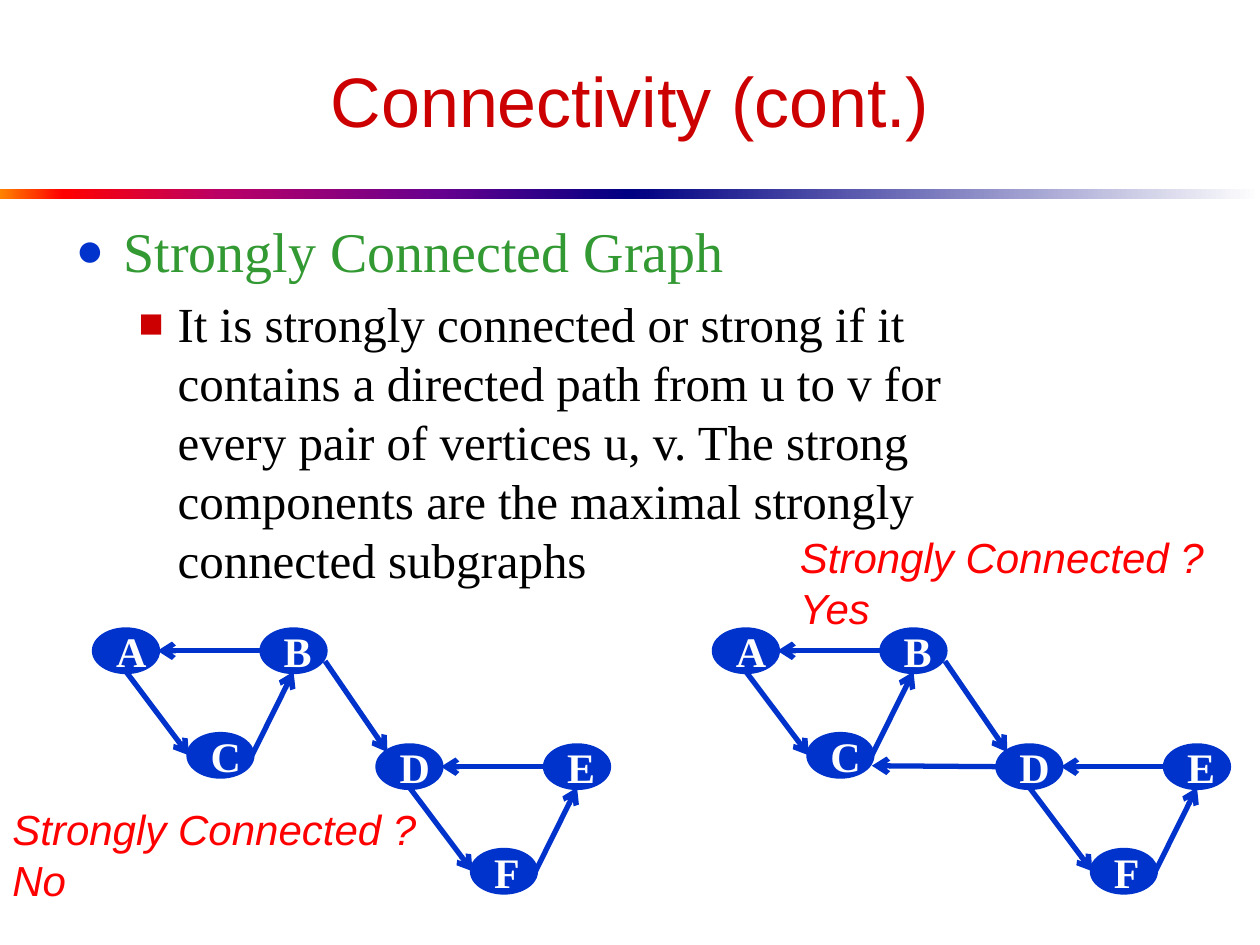
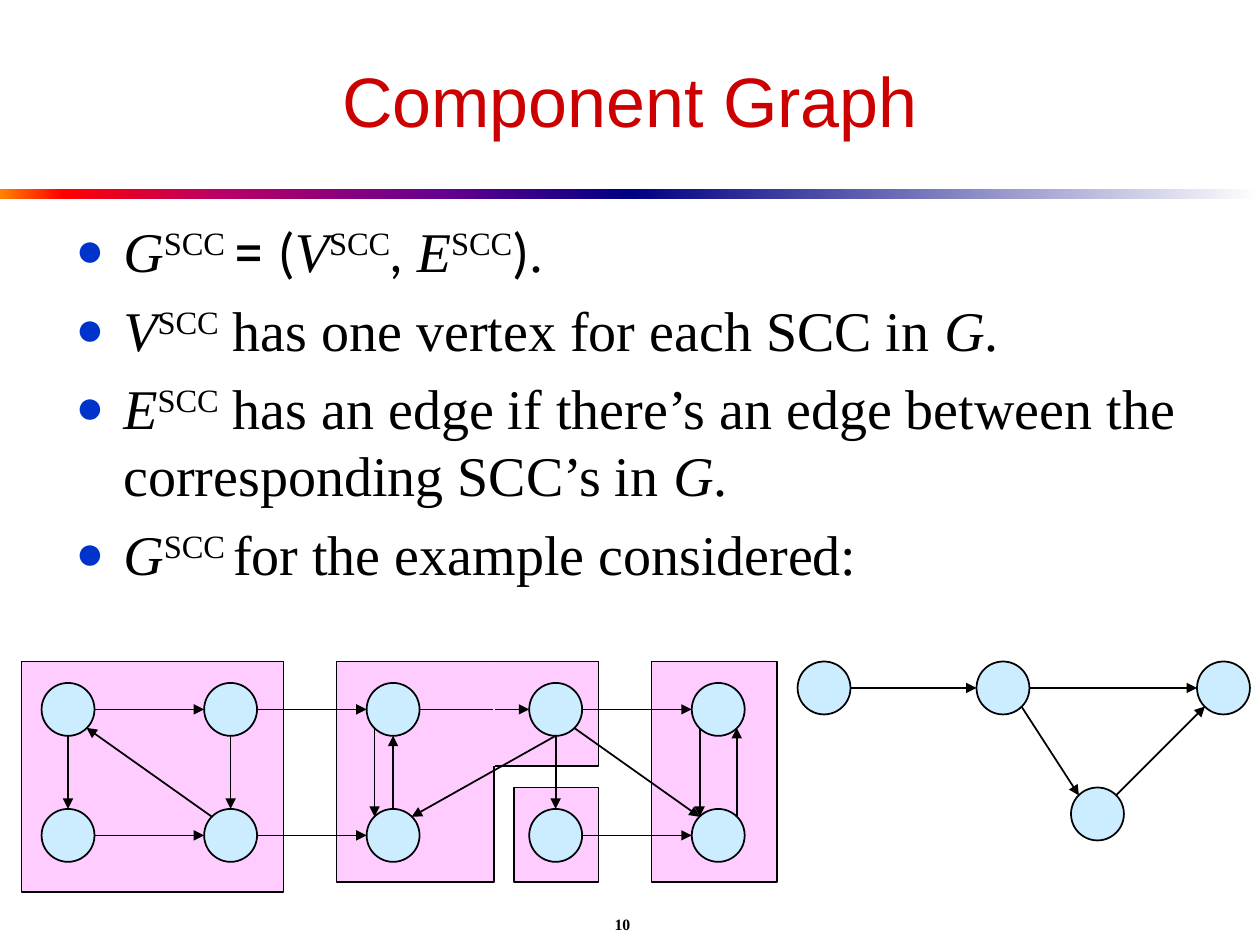
from typing import NamedTuple, Optional

from lxml import etree
from pptx import Presentation
from pptx import util as u
from pptx.dml.color import RGBColor
from pptx.enum import shapes, text
from pptx.oxml import ns

# Shared look
SERIF, SANS = "Times New Roman", "Arial"
RED, BLUE, GREEN, BLACK, WHITE = "CC0000", "0033CC", "339933", "000000", "FFFFFF"
ANSWER_RED, PALE_BLUE, PINK = "FF0000", "CCECFF", "FFCCFF"
TITLE_BOX = (0.5, 0.25, 9, 1.08)
BANDS = (
    (0, [(0, "FF8200"), (10, "FF0000"), (35, "BA0066"), (70, "66008F"), (100, "000082")]),
    (5, [(0, "000082"), (100, WHITE)]),
)

# Points on a node, as fractions of its width and height
SIDES = {
    "left": (0, 0.5), "right": (1, 0.5), "top": (0.5, 0), "bottom": (0.5, 1),
    "top left": (0.15, 0.15), "top right": (0.85, 0.15),
    "bottom left": (0.15, 0.85), "bottom right": (0.85, 0.85),
    "low right": (1, 0.75),
}


class Run(NamedTuple):
    text: str
    font: str = SERIF
    italic: bool = False
    raised: bool = False


class Bullet(NamedTuple):
    runs: list
    level: int = 0
    color: str = BLACK


class BulletStyle(NamedTuple):
    mark: str
    color: str
    size: int
    margin: float
    hanging: float


class Edge(NamedTuple):
    start: str
    start_side: str
    end: str
    end_side: str


class NodeStyle(NamedTuple):
    width: float
    height: float
    fill: str
    line: str
    weight: float
    arrow: str
    labelled: bool


BULLETS = (BulletStyle("●", BLUE, 32, 0.38, 0.38), BulletStyle("■", RED, 28, 0.81, 0.31))
LETTER_NODE = NodeStyle(0.5, 0.33, BLUE, BLUE, 3, "arrow", True)
PLAIN_NODE = NodeStyle(0.42, 0.42, PALE_BLUE, BLACK, 1, "triangle", False)


def inch(value: float) -> u.Length:
    return u.Cm(value * 2.54)


def rgb(value: str) -> RGBColor:
    return RGBColor.from_string(value)


def apply(target, values: dict) -> None:
    for name, value in values.items():
        setattr(target, name, value)


def set_font(font, color: str, **values) -> None:
    apply(font, values)
    font.color.rgb = rgb(color)


def place(shape, box: tuple) -> None:
    apply(shape, dict(zip(("left", "top", "width", "height"), map(inch, box))))


def add_element(parent, tag: str, **attributes):
    return etree.SubElement(parent, ns.qn(tag), {k: str(v) for k, v in attributes.items()})


def add_preset(parent, kind, box: tuple, fill: str, line: str, weight: float):
    shape = parent.shapes.add_shape(kind, *map(inch, box))
    shape.shadow.inherit = False
    shape.fill.solid()
    shape.fill.fore_color.rgb = rgb(fill)
    shape.line.color.rgb = rgb(line)
    shape.line.width = u.Pt(weight)
    return shape


def add_line(parent, start: tuple, end: tuple, color: str, weight: float,
             arrow: Optional[str] = None) -> None:
    line = parent.shapes.add_connector(shapes.MSO_CONNECTOR.STRAIGHT,
                                       *map(inch, (*start, *end)))
    line.line.color.rgb = rgb(color)
    line.line.width = u.Pt(weight)
    properties = line.element.spPr
    if arrow:
        add_element(properties.find(ns.qn("a:ln")), "a:tailEnd", type=arrow)
    add_element(properties, "a:effectLst")


def add_graph(group, nodes: dict, edges: list, style: NodeStyle) -> None:
    """Draw nodes given by their top left corners, then the directed edges."""
    for label, corner in nodes.items():
        node = add_preset(group, shapes.MSO_SHAPE.OVAL, (*corner, style.width, style.height),
                          style.fill, style.line, style.weight)
        if style.labelled:
            frame = node.text_frame
            apply(frame, {"word_wrap": False, "vertical_anchor": text.MSO_ANCHOR.MIDDLE})
            paragraph = frame.paragraphs[0]
            paragraph.alignment = text.PP_ALIGN.LEFT
            run = paragraph.add_run()
            run.text = label
            set_font(run.font, WHITE, name=SERIF, size=u.Pt(24), bold=True)

    def point(label: str, side: str) -> tuple:
        (x, y), (across, down) = nodes[label], SIDES[side]
        return x + across * style.width, y + down * style.height

    for edge in edges:
        add_line(group, point(edge.start, edge.start_side), point(edge.end, edge.end_side),
                 style.line, style.weight, style.arrow)


def add_textbox(slide, box: tuple, lines: list, color: str, **font) -> text:
    frame = slide.shapes.add_textbox(*map(inch, box)).text_frame
    frame.word_wrap = True
    for index, line in enumerate(lines):
        paragraph = frame.add_paragraph() if index else frame.paragraphs[0]
        run = paragraph.add_run()
        run.text = line
        set_font(run.font, color, **font)
    return frame


def fill_body(body, bullets: list) -> None:
    frame = body.text_frame
    frame.auto_size = text.MSO_AUTO_SIZE.NONE
    for index, bullet in enumerate(bullets):
        paragraph = frame.add_paragraph() if index else frame.paragraphs[0]
        paragraph.level = bullet.level
        style = BULLETS[bullet.level]
        properties = paragraph._p.get_or_add_pPr()
        properties.set("marL", str(inch(style.margin)))
        properties.set("indent", str(-inch(style.hanging)))
        add_element(add_element(properties, "a:buClr"), "a:srgbClr", val=style.color)
        add_element(properties, "a:buSzPct", val=85000)
        add_element(properties, "a:buChar", char=style.mark)
        for piece in bullet.runs:
            run = paragraph.add_run()
            run.text = piece.text
            set_font(run.font, bullet.color, name=piece.font, size=u.Pt(style.size),
                     italic=piece.italic)
            if piece.raised:
                run._r.get_or_add_rPr().set("baseline", "30000")


def add_slide(prs, title: str, bullets: list, body_width: float):
    slide = prs.slides.add_slide(prs.slide_layouts[1])
    heading, body = slide.placeholders[0], slide.placeholders[1]
    place(heading, TITLE_BOX)
    heading.text_frame.vertical_anchor = text.MSO_ANCHOR.MIDDLE
    paragraph = heading.text_frame.paragraphs[0]
    paragraph.alignment = text.PP_ALIGN.CENTER
    run = paragraph.add_run()
    run.text = title
    set_font(run.font, RED, name=SANS, size=u.Pt(40))
    place(body, (0.5, 1.67, body_width, 4.75))
    fill_body(body, bullets)
    return slide


def add_master_bands(prs, slide) -> None:
    """Build the gradient bands and move them to the slide master."""
    tree = prs.slide_master.element.cSld.spTree
    for number, (left, stops) in enumerate(BANDS):
        band = add_preset(slide, shapes.MSO_SHAPE.RECTANGLE, (left, 1.5, 5, 0.08),
                          WHITE, WHITE, 1)
        band.line.fill.background()
        band.fill.gradient()
        band.fill.gradient_angle = 0
        stop_list = band.element.spPr.find(".//" + ns.qn("a:gsLst"))
        for old in list(stop_list):
            stop_list.remove(old)
        for position, color in stops:
            stop = add_element(stop_list, "a:gs", pos=position * 1000)
            add_element(stop, "a:srgbClr", val=color)
        band.element.nvSpPr.cNvPr.set("id", str(50 + number))
        tree.append(band.element)


def scc(letter: str, gap: str = "") -> list:
    return [Run(letter, italic=True), Run("SCC" + gap, raised=True)]


prs = Presentation()
apply(prs, {"slide_width": inch(10), "slide_height": inch(7.5)})

# Slide 1: strongly connected graphs
connectivity = add_slide(prs, "Connectivity (cont.)", [
    Bullet([Run("Strongly Connected Graph")], color=GREEN),
    Bullet([Run("It is strongly connected or strong if it contains a directed path from "
                "u to v for every pair of vertices u, v. The strong components are the "
                "maximal strongly connected subgraphs")], level=1),
], 7.67)
add_master_bands(prs, connectivity)

letter_offsets = {"A": (0, 0), "B": (1.33, 0), "C": (0.75, 0.83),
                  "D": (2.25, 0.92), "E": (3.58, 0.92), "F": (3, 1.75)}
common_edges = [
    Edge("B", "left", "A", "right"), Edge("A", "bottom", "C", "left"),
    Edge("C", "right", "B", "bottom"), Edge("B", "low right", "D", "top left"),
    Edge("E", "left", "D", "right"), Edge("D", "bottom", "F", "left"),
    Edge("F", "right", "E", "bottom"),
]
closing_edge = Edge("D", "left", "C", "low right")
for graph_left, edges in ((5.67, common_edges + [closing_edge]), (0.75, common_edges)):
    letters = {name: (graph_left + x, 5 + y) for name, (x, y) in letter_offsets.items()}
    add_graph(connectivity.shapes.add_group_shape(), letters, edges, LETTER_NODE)

for left, top, answer in ((0, 6.33, "No"), (6.25, 4.17, "Yes")):
    label = add_textbox(connectivity, (left, top, 4.08, 0.91),
                        ["Strongly Connected ?", answer], ANSWER_RED,
                        name=SANS, size=u.Pt(24), italic=True)
    label.auto_size = text.MSO_AUTO_SIZE.SHAPE_TO_FIT_TEXT

# Slide 2: component graph
in_g = [Run("G", italic=True), Run(".")]
component = add_slide(prs, "Component Graph", [
    Bullet([*scc("G", " "), Run("= ", "Roboto"), Run("(", "Calibri"), *scc("V"),
            Run(", ", "Calibri", italic=True), *scc("E"), Run(")", "Calibri"), Run(".")]),
    Bullet([*scc("V"), Run(" has one vertex for each SCC in "), *in_g]),
    Bullet([*scc("E"), Run(" has an edge if there’s an edge between the "
                           "corresponding SCC’s in "), *in_g]),
    Bullet([*scc("G", " "), Run("for the example considered:")]),
], 9)

page_number = add_textbox(component, (0.44, 7.17, 9, 0.33), ["10"], BLACK,
                          name=SERIF, size=u.Pt(9), bold=True)
page_number.vertical_anchor = text.MSO_ANCHOR.MIDDLE
page_number.paragraphs[0].alignment = text.PP_ALIGN.CENTER

# One vertex for each component
add_graph(
    component.shapes.add_group_shape(),
    {"first": (6.33, 5.25), "second": (7.75, 5.25), "last": (9.5, 5.25), "single": (8.5, 6.25)},
    [Edge("first", "right", "second", "left"), Edge("second", "right", "last", "left"),
     Edge("second", "bottom right", "single", "top left"),
     Edge("single", "top right", "last", "bottom left")],
    PLAIN_NODE)

# The example graph, with its components shaded
example = component.shapes.add_group_shape()
for region in ((4.08, 6.25, 0.67, 0.75), (5.17, 5.25, 1, 1.75), (3.92, 5.25, 0.83, 0.83),
               (2.67, 5.25, 1.25, 1.75), (0.17, 5.25, 2.08, 1.83)):
    add_preset(example, shapes.MSO_SHAPE.RECTANGLE, region, PINK, BLACK, 1)

vertices = {name: (0.33 + 1.29 * column, 5.42 + row)
            for row, names in enumerate(("abcde", "fghij"))
            for column, name in enumerate(names)}
rightward = [Edge(start, "right", end, "left")
             for start, end in ("ab", "fg", "cd", "de", "ij", "bc", "gh")]
downward = [Edge(start, "bottom", end, "top") for start, end in ("af", "bg", "di")]
other_edges = [
    Edge("g", "top left", "a", "bottom right"), Edge("d", "bottom", "h", "top right"),
    Edge("h", "top", "c", "bottom"), Edge("c", "bottom left", "h", "top left"),
    Edge("e", "bottom left", "j", "top left"), Edge("j", "top right", "e", "bottom right"),
    Edge("d", "bottom right", "j", "top left"),
]
add_graph(example, vertices, rightward + downward + other_edges, PLAIN_NODE)
# Hide the seam between the two halves of the second component
add_line(example, (3.92, 5.25), (3.92, 6.08), PINK, 1)

prs.save("out.pptx")
